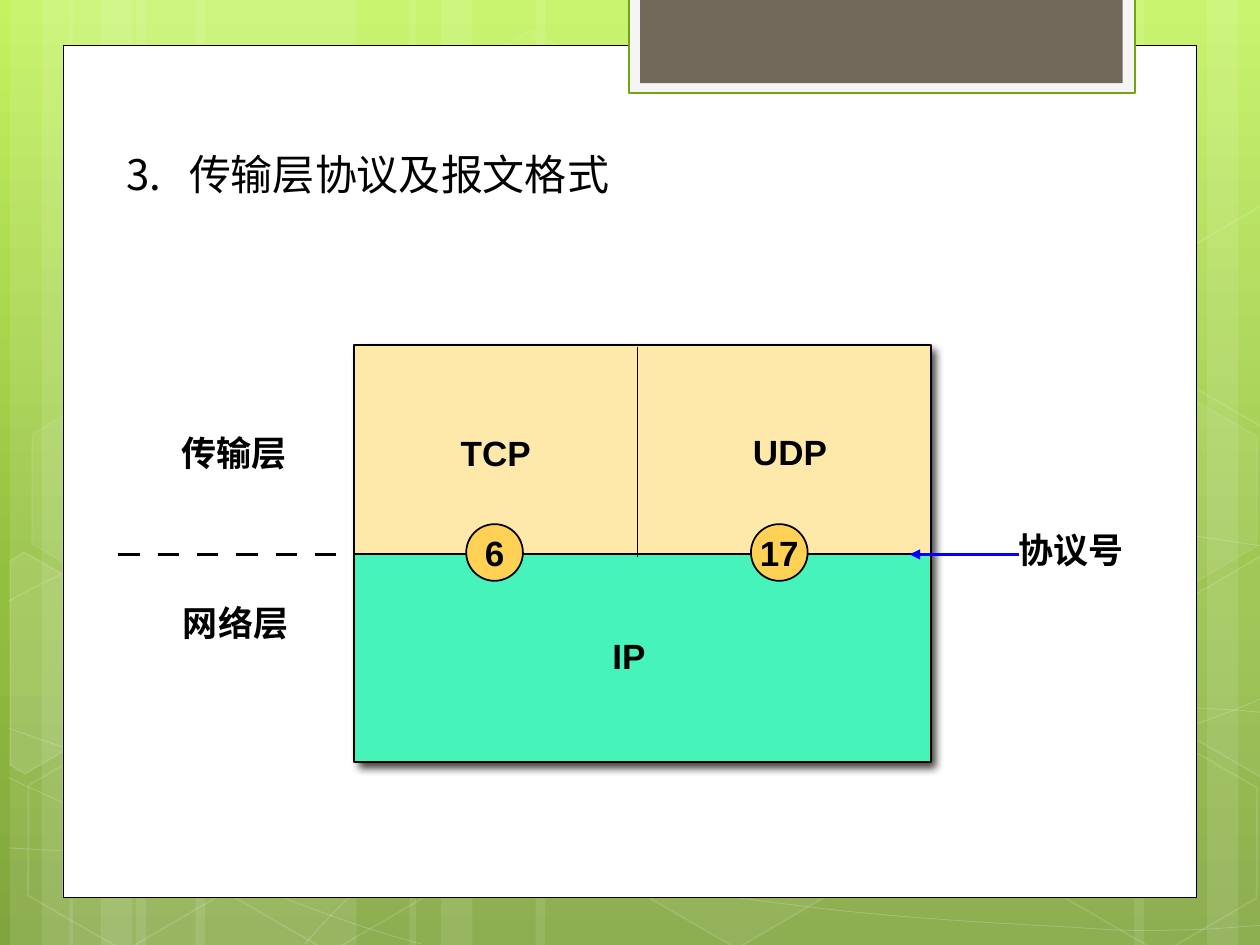
from math import cos, radians, sin

from lxml import etree
from pptx import Presentation
from pptx.dml.color import RGBColor
from pptx.enum.shapes import MSO_CONNECTOR as Link, MSO_SHAPE as Form
from pptx.enum.text import MSO_ANCHOR as Anchor, MSO_AUTO_SIZE as Fit, PP_ALIGN as Align
from pptx.oxml import parse_xml
from pptx.oxml.ns import nsdecls, qn
from pptx.util import Inches as In, Pt

WIDE, HIGH = 10, 7.5
INK, PALE, GOLD, MINT, BLUE = "000000", "FFE9AA", "FFD255", "45F3BB", "0000FF"
WHITE = "FFFFFF"

# Content
TITLE, START = "传输层协议及报文格式", 3
LEFT, TOP, BOX, ROW, MID = 2.81, 2.74, 4.58, 1.66, 4.39   # protocol box, two rows
EDGE = 4.4                                                # dashes and arrow
LABELS = [  # text, left, top, width, height, align
    ("传输层", 0.7, 3.4, 2.31, 0.56, Align.CENTER),
    ("网络层", 0.94, 4.75, 1.86, 0.51, Align.CENTER),
    ("TCP", LEFT, 3.4, 2.25, 0.52, Align.CENTER),
    ("UDP", 5.19, 3.39, 2.16, 0.52, Align.CENTER),
    ("协议号", 8.06, 4.17, 1.44, 0.34, Align.LEFT),
    ("IP", 4.84, 5.01, 0.58, 0.52, Align.LEFT),
]
PORTS = [("17", 5.96), ("6", 3.7)]
FIRST, LAST, DASHES, DASH = 0.94, 2.5, 6, 0.17

# Backdrop
STOPS = [(0, "C3F35F"), (62, "93BF3F"), (100, "81A53E")]
BANDS = [(1.08, 1.75), (0.08, 0.5), (0.33, 0.83), (1.55, 1.75), (0.55, 0.5),
         (0.8, 0.83), (7.33, 1.75), (9.58, 0.5), (9, 0.83), (4.25, 3.08),
         (3.25, 0.5), (3.5, 0.83)]
CURVES = [  # start point, then three points for each Bézier piece
    [(0.07, 6.73), (0.61, 6.76), (1.15, 6.79), (1.9, 6.78), (2.65, 6.77),
     (3.58, 6.75), (4.58, 6.65), (5.58, 6.55), (7, 6.36), (7.92, 6.17),
     (8.83, 5.98), (9.77, 5.68), (10.07, 5.51)],
    [(0.07, 4.77), (0.36, 4.61), (0.65, 4.46), (1.21, 4.31), (1.78, 4.16),
     (2.59, 3.94), (3.47, 3.87), (4.36, 3.8), (5.44, 3.79), (6.54, 3.87),
     (7.64, 3.95), (9.47, 4.26), (10.07, 4.34)],
    [(0.06, 6.17), (1.27, 6.72), (2.47, 7.27), (3.34, 7.49)],
    [(0.07, 5.78), (0.38, 5.89), (0.7, 6), (1.28, 6.16), (1.86, 6.31),
     (2.73, 6.56), (3.57, 6.73), (4.4, 6.9), (5.45, 7.08), (6.28, 7.18),
     (7.11, 7.29), (8, 7.33), (8.53, 7.36), (9.05, 7.4), (9.19, 7.38),
     (9.45, 7.38), (9.71, 7.37), (9.89, 7.35), (10.07, 7.34)],
    [(2.42, 7.49), (2.6, 7.29), (2.78, 7.09), (3.02, 6.91), (3.26, 6.73),
     (3.6, 6.53), (3.88, 6.39), (4.16, 6.25), (4.33, 6.19), (4.7, 6.09),
     (5.06, 5.99), (5.73, 5.85), (6.08, 5.78), (6.44, 5.71), (6.49, 5.71),
     (6.8, 5.69), (7.11, 5.66), (7.6, 5.63), (7.94, 5.62), (8.29, 5.61),
     (8.86, 5.62), (9.53, 5.62), (9.71, 5.63), (9.88, 5.64), (9.97, 5.65),
     (10.06, 5.66), (10.03, 5.65), (10.06, 5.66)],
]
TURN = 30
CELLS = [  # left, top, fill opacity, line opacity
    (3.34, 0.36, 4, 8), (4.97, 5.89, 6, 12), (0.11, 5.91, 0, 12),
    (0.14, 3.12, 7, 8), (1.74, 5.92, 0, 12), (7.53, 4.53, 10, 12),
    (8.34, 5.93, 0, 12), (8.34, 3.14, 7, 8)]
PARTS = [  # cut hexagons: centre, points as turned, fill opacity
    ((0.36, 5.35), [(0.08, 4.45), (0.19, 4.38), (0.96, 4.82), (0.95, 5.7),
                    (0.2, 6.14), (0.08, 6.07)], 10),
    ((9.85, 5.2), [(9.26, 4.85), (10.01, 4.41), (10.09, 4.46), (10.09, 6.13),
                   (10.02, 6.17), (9.26, 5.73)], 4),
    ((9.85, 2.41), [(9.26, 2.07), (10.01, 1.63), (10.1, 1.68), (10.09, 3.35),
                    (10.02, 3.39), (9.26, 2.95)], 0)]

deck = Presentation()
deck.slide_width, deck.slide_height = In(WIDE), In(HIGH)
slide = deck.slides.add_slide(deck.slide_layouts[5])
shapes = slide.shapes


def tint(fill, color, alpha=100):
    if not alpha:
        fill.background()
        return
    fill.solid()
    fill.fore_color.rgb = RGBColor.from_string(color)
    if alpha < 100:
        for node in fill._xPr.iter(qn("a:srgbClr")):
            etree.SubElement(node, qn("a:alpha"), val=str(alpha * 1000))


def dress(item, fill=None, alpha=100, line=None, size=1, clear=100):
    item.shadow.inherit = False
    tint(item.fill, fill, alpha if fill else 0)
    tint(item.line.fill, line, clear if line else 0)
    if line:
        item.line.width = Pt(size)
    return item


def block(form, x, y, w, h, **look):
    return dress(shapes.add_shape(form, In(x), In(y), In(w), In(h)), **look)


def trace(points, shut, **look):
    unit = [(x * 1000, y * 1000) for x, y in points]
    pen = shapes.build_freeform(*unit[0], scale=914.4)
    pen.add_line_segments(unit[1:], close=shut)
    return dress(pen.convert_to_shape(), line=WHITE, **look)


def bend(item):
    """Turn each three line steps into one Bézier piece."""
    steps = list(item.element.iter(qn("a:lnTo")))
    for i in range(0, len(steps), 3):
        piece = etree.SubElement(steps[i].getparent(), qn("a:cubicBezTo"))
        for step in steps[i:i + 3]:
            piece.append(step[0])
            step.getparent().remove(step)


def unturn(points, hub):
    c, s = cos(radians(TURN)), sin(radians(TURN))
    gaps = [(x - hub[0], y - hub[1]) for x, y in points]
    return [(hub[0] + x * c + y * s, hub[1] - x * s + y * c) for x, y in gaps]


def rule(x1, y1, x2, y2, color=INK, size=1):
    link = shapes.add_connector(Link.STRAIGHT, In(x1), In(y1), In(x2), In(y2))
    tint(link.line.fill, color)
    link.line.width = Pt(size)
    etree.SubElement(link.element.spPr, qn("a:effectLst"))
    return link


def write(item, text, align, size=20, bold=True, **frame):
    body = item.text_frame
    for key, val in {"word_wrap": False, "auto_size": Fit.NONE, **frame}.items():
        setattr(body, key, val)
    para = body.paragraphs[0]
    para.alignment = align
    run = para.add_run()
    run.text = text
    for key, val in {"name": "Arial", "size": Pt(size), "bold": bold}.items():
        setattr(run.font, key, val)
    run.font.color.rgb = RGBColor.from_string(INK)
    return para


# Background gradient, bands, curves and hexagons
stops = "".join(f'<a:gs pos="{p * 1000}"><a:srgbClr val="{c}"/></a:gs>' for p, c in STOPS)
slide.element.cSld.insert(0, parse_xml(
    f'<p:bg {nsdecls("p", "a")}><p:bgPr><a:gradFill rotWithShape="1"><a:gsLst>{stops}</a:gsLst>'
    '<a:lin ang="5400000" scaled="0"/></a:gradFill><a:effectLst/></p:bgPr></p:bg>'))
for x, w in BANDS:
    block(Form.RECTANGLE, x, 0, w, HIGH, fill=WHITE, alpha=10)
for points in CURVES:
    bend(trace(points, False, size=0.5, clear=20))
for x, y, alpha, clear in CELLS:
    cell = block(Form.HEXAGON, x, y, 1.75, 1.52, fill=WHITE, alpha=alpha,
                 line=WHITE, clear=clear)
    cell.adjustments[0] = 0.285
    cell.rotation = TURN
for hub, points, alpha in PARTS:
    part = trace(unturn(points, hub), True, fill=WHITE, alpha=alpha, clear=12)
    part.rotation = TURN

# Page panel and top tab
block(Form.RECTANGLE, 0.5, 0.36, 9, 6.76, fill=WHITE, line=INK, size=0.5)
block(Form.RECTANGLE, 4.99, -0.02, 4.02, 0.76, fill="F5F5F5", line="74A510", size=1.25)
block(Form.RECTANGLE, 5.08, -0.02, 3.83, 0.68, fill="71685A")

# Protocol box with its shadow
base = block(Form.RECTANGLE, LEFT, TOP, BOX, MID + ROW - TOP, fill=WHITE)
glow = base.element.spPr.find(qn("a:effectLst"))
glow.append(parse_xml(
    f'<a:outerShdw {nsdecls("a")} blurRad="{Pt(5)}" dist="{Pt(4.2)}" dir="2700000" algn="tl" '
    'rotWithShape="0"><a:srgbClr val="000000"><a:alpha val="75000"/></a:srgbClr></a:outerShdw>'))
for y, color in ((MID, MINT), (TOP, PALE)):
    block(Form.RECTANGLE, LEFT, y, BOX, ROW, fill=color, line=INK)

# Labels
PAD = dict(margin_left=In(0.02), margin_right=In(0.02),
           margin_top=In(0.03), margin_bottom=In(0.03))
for text, x, y, w, h, align in LABELS:
    label = shapes.add_textbox(In(x), In(y), In(w), In(h))
    write(label, text, align, **PAD).line_spacing = Pt(23.6)

# Layer border, arrow and divider
for n in range(DASHES):
    x = FIRST + n * (LAST - FIRST) / (DASHES - 1)
    rule(x, EDGE, x + DASH, EDGE, size=2)
arrow = rule(8.09, EDGE, 7.22, EDGE, BLUE, 2)
etree.SubElement(arrow.line._get_or_add_ln(), qn("a:tailEnd"), type="triangle")
rule(5.06, 2.75, 5.06, 4.42)

# Protocol numbers
for text, x in PORTS:
    disc = block(Form.OVAL, x, 4.16, 0.45, 0.45, fill=GOLD, line=INK)
    write(disc, text, Align.CENTER, vertical_anchor=Anchor.MIDDLE)

# Numbered title, in front of the panel
title = shapes.title
for key, val in dict(left=0.9, top=0.97, width=4.07, height=0.64).items():
    setattr(title, key, In(val))
para = write(title, TITLE, Align.LEFT, 24, False, vertical_anchor=Anchor.TOP)
para.line_spacing = 1.4
props = para._p.get_or_add_pPr()
props.set("marL", str(In(0.5)))
props.set("indent", str(-In(0.5)))
etree.SubElement(props, qn("a:buAutoNum"), type="arabicPeriod", startAt=str(START))
shapes.element.append(title.element)

deck.save("out.pptx")
